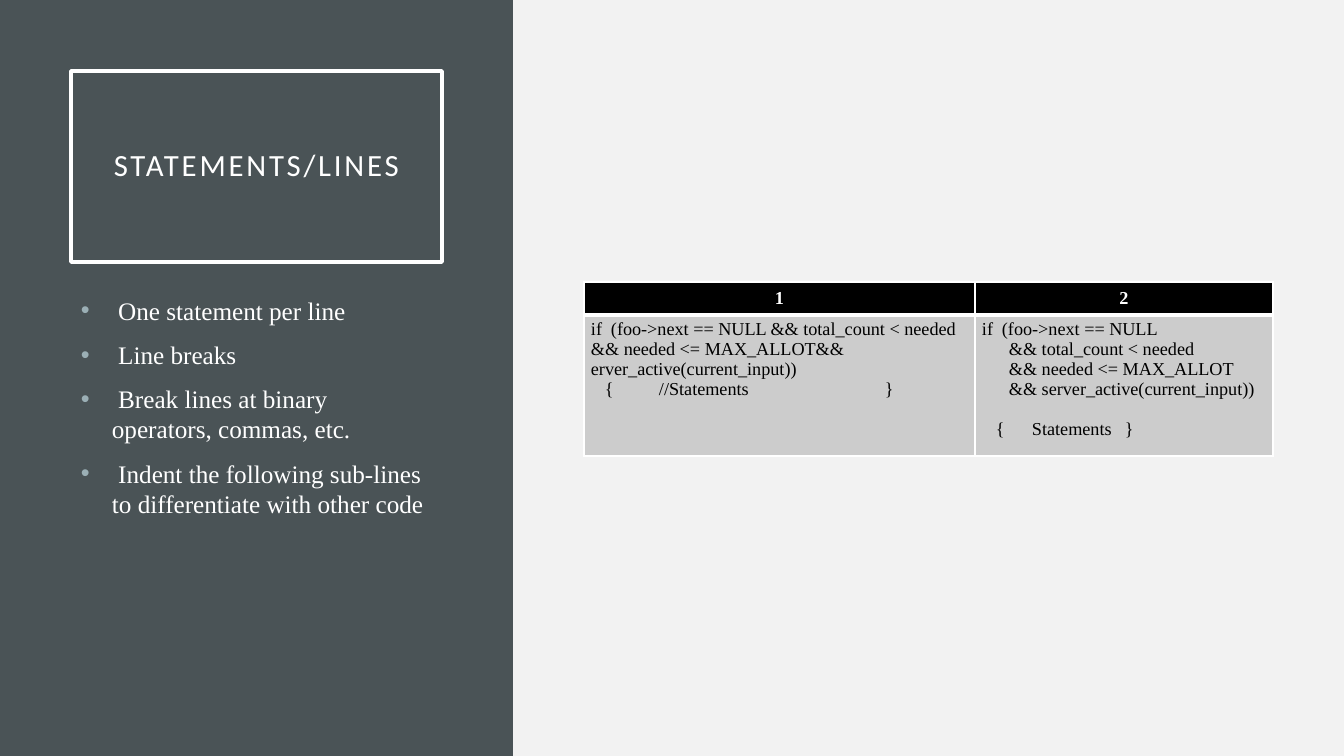
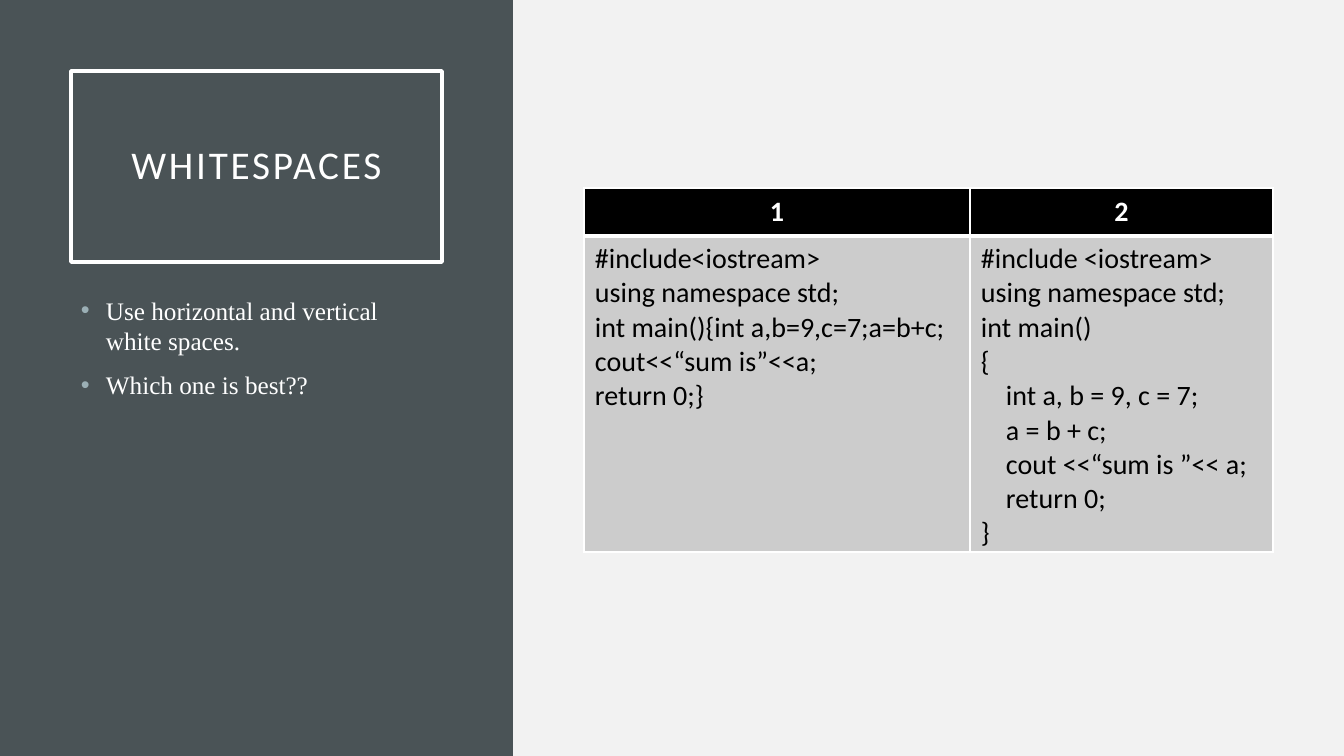
from lxml import etree
from pptx import Presentation
from pptx.dml.color import RGBColor
from pptx.enum.shapes import MSO_SHAPE
from pptx.enum.text import MSO_ANCHOR, PP_ALIGN
from pptx.oxml.ns import qn
from pptx.util import Emu, Pt

# Content: a code line is (text, layout); tabs and indent are px, before is points
SLIDES = [
    {
        "title": "STATEMENTS/LINES", "title_size": 22,
        "bullets": [
            " One statement per line",
            " Line breaks",
            " Break lines at binary operators, commas, etc.",
            " Indent the following sub-lines to differentiate with other code",
        ],
        "bullet_indent": 31,
        "table": {
            "top": 282, "columns": [391, 298], "rows": [33, 141],
            "font": "Times New Roman", "size": 13, "margins": (7, 4),
            "header": ["1", "2"],
            "code": [
                [
                    ("if\t(foo->next == NULL && total_count < needed && needed <= "
                     "MAX_ALLOT&& erver_active(current_input))", {"tabs": [20]}),
                    ("\t{\t//Statements\t}", {"tabs": [14, 68, 294]}),
                ],
                [
                    ("if\t(foo->next == NULL", {"tabs": [20]}),
                    ("&& total_count < needed", {"indent": 27}),
                    ("&& needed <= MAX_ALLOT", {"indent": 27}),
                    ("&& server_active(current_input))", {"indent": 27}),
                    ("\t{\tStatements\t}", {"tabs": [14, 50, 143], "before": 14.4}),
                ],
            ],
        },
    },
    {
        "title": "WHITESPACES", "title_size": 28,
        "bullets": [
            "Use horizontal and vertical white spaces.",
            "Which one is best??",
        ],
        "bullet_indent": 25,
        "table": {
            "top": 188, "columns": [386, 303], "rows": [48, 316],
            "font": "Calibri", "size": 20, "margins": (11, 6),
            "header": ["1", "2"],
            "code": [
                [
                    ("#include<iostream>", {}),
                    ("using namespace std;", {}),
                    ("int main(){int a,b=9,c=7;a=b+c;", {}),
                    ("cout<<“sum is”<<a;", {}),
                    ("return 0;}", {}),
                ],
                [
                    ("#include <iostream>", {}),
                    ("using namespace std;", {}),
                    ("int main()", {}),
                    ("{", {}),
                    ("int a, b = 9, c = 7;", {"indent": 25}),
                    ("a = b + c;", {"indent": 25}),
                    ("cout <<“sum is ”<< a;", {"indent": 25}),
                    ("return 0;", {"indent": 25}),
                    ("}", {}),
                ],
            ],
        },
    },
]

# Shared look
WHITE = RGBColor(0xFF, 0xFF, 0xFF)
BLACK = RGBColor(0x00, 0x00, 0x00)
PAPER = RGBColor(0xF2, 0xF2, 0xF2)
SLATE = RGBColor(0x4A, 0x53, 0x56)
BULLET = RGBColor(0x9B, 0xAF, 0xB5)
CODE_FILL = RGBColor(0xCC, 0xCC, 0xCC)

SLIDE_W, SLIDE_H = 1344, 756
SIDEBAR_W = 513
TITLE_BOX = (71, 71, 371, 191)
BULLET_BOX = (71, 290, 371, 377)
TITLE_INSET = 20
TABLE_LEFT = 584
THIN, THICK = 1, 3


def px(value):
    return Emu(round(value * 914400 / 100.8))


def place(box):
    return [px(value) for value in box]


def set_font(paragraph, name, size, color, bold=False):
    font = paragraph.font
    font.name, font.size, font.bold = name, Pt(size), bold
    font.color.rgb = color


def add_before_font(paragraph, tag, **attributes):
    """Add a paragraph property ahead of the default run properties."""
    properties = paragraph._p.get_or_add_pPr()
    element = etree.Element(qn(tag), attributes)
    properties.find(qn("a:defRPr")).addprevious(element)
    return element


def add_paragraphs(frame, count):
    return [frame.paragraphs[0]] + [frame.add_paragraph() for _ in range(count - 1)]


def add_rectangle(slide, box):
    rectangle = slide.shapes.add_shape(MSO_SHAPE.RECTANGLE, *place(box))
    rectangle.shadow.inherit = False
    return rectangle


def add_sidebar(slide):
    sidebar = add_rectangle(slide, (0, 0, SIDEBAR_W, SLIDE_H))
    sidebar.fill.solid()
    sidebar.fill.fore_color.rgb = SLATE
    sidebar.line.fill.background()


def add_title(slide, text, size):
    title = add_rectangle(slide, TITLE_BOX)
    title.fill.background()
    title.line.color.rgb = WHITE
    title.line.width = Pt(2.5)
    frame = title.text_frame
    frame.word_wrap = True
    frame.vertical_anchor = MSO_ANCHOR.MIDDLE
    frame.margin_left = frame.margin_right = px(TITLE_INSET)
    frame.margin_top = frame.margin_bottom = px(TITLE_INSET)
    paragraph = frame.paragraphs[0]
    paragraph.text = text
    paragraph.alignment = PP_ALIGN.CENTER
    paragraph.line_spacing = 0.9
    set_font(paragraph, "Calibri", size, WHITE)
    paragraph.font._element.set("spc", "200")


def add_bullets(slide, bullets, indent):
    frame = slide.shapes.add_textbox(*place(BULLET_BOX)).text_frame
    frame.word_wrap = True
    for paragraph, text in zip(add_paragraphs(frame, len(bullets)), bullets):
        paragraph.text = text
        paragraph.space_before = Pt(10)
        set_font(paragraph, "Times New Roman", 18, WHITE)
        properties = paragraph._p.get_or_add_pPr()
        properties.set("marL", str(px(indent)))
        properties.set("indent", str(-px(indent)))
        color = add_before_font(paragraph, "a:buClr")
        etree.SubElement(color, qn("a:srgbClr"), val=str(BULLET))
        add_before_font(paragraph, "a:buFont", typeface="Arial")
        add_before_font(paragraph, "a:buChar", char="•")


def style_cell(cell, fill, margins, top, bottom):
    cell.fill.solid()
    cell.fill.fore_color.rgb = fill
    cell.margin_left = cell.margin_right = px(margins[0])
    cell.margin_top = cell.margin_bottom = px(margins[1])
    properties = cell._tc.get_or_add_tcPr()
    widths = {"a:lnL": THIN, "a:lnR": THIN, "a:lnT": top, "a:lnB": bottom}
    for position, (tag, width) in enumerate(widths.items()):
        border = etree.Element(qn(tag), w=str(Pt(width)))
        solid = etree.SubElement(border, qn("a:solidFill"))
        etree.SubElement(solid, qn("a:srgbClr"), val=str(WHITE))
        properties.insert(position, border)


def write_code(cell, lines, font, size):
    paragraphs = add_paragraphs(cell.text_frame, len(lines))
    for paragraph, (text, layout) in zip(paragraphs, lines):
        paragraph.text = text
        set_font(paragraph, font, size, BLACK)
        if "indent" in layout:
            paragraph._p.get_or_add_pPr().set("marL", str(px(layout["indent"])))
        if "before" in layout:
            paragraph.space_before = Pt(layout["before"])
        if "tabs" in layout:
            stops = add_before_font(paragraph, "a:tabLst")
            for stop in layout["tabs"]:
                etree.SubElement(stops, qn("a:tab"), pos=str(px(stop)), algn="l")


def add_code_table(slide, spec_table):
    columns, rows = spec_table["columns"], spec_table["rows"]
    font, size, margins = (spec_table[key] for key in ("font", "size", "margins"))
    box = (TABLE_LEFT, spec_table["top"], sum(columns), sum(rows))
    table = slide.shapes.add_table(len(rows), len(columns), *place(box)).table
    table.horz_banding = False
    for row, height in zip(table.rows, rows):
        row.height = px(height)
    for index, width in enumerate(columns):
        table.columns[index].width = px(width)

        # Header cell
        header = table.cell(0, index)
        style_cell(header, BLACK, margins, THIN, THICK)
        header.vertical_anchor = MSO_ANCHOR.MIDDLE
        label = header.text_frame.paragraphs[0]
        label.text = spec_table["header"][index]
        label.alignment = PP_ALIGN.CENTER
        set_font(label, font, size, WHITE, bold=True)

        # Code cell
        code = table.cell(1, index)
        style_cell(code, CODE_FILL, margins, THICK, THIN)
        write_code(code, spec_table["code"][index], font, size)


def main():
    presentation = Presentation()
    presentation.slide_width, presentation.slide_height = px(SLIDE_W), px(SLIDE_H)
    blank = presentation.slide_layouts[6]
    for content in SLIDES:
        slide = presentation.slides.add_slide(blank)
        slide.background.fill.solid()
        slide.background.fill.fore_color.rgb = PAPER
        add_sidebar(slide)
        add_title(slide, content["title"], content["title_size"])
        add_bullets(slide, content["bullets"], content["bullet_indent"])
        add_code_table(slide, content["table"])
    presentation.save("out.pptx")


if __name__ == "__main__":
    main()
